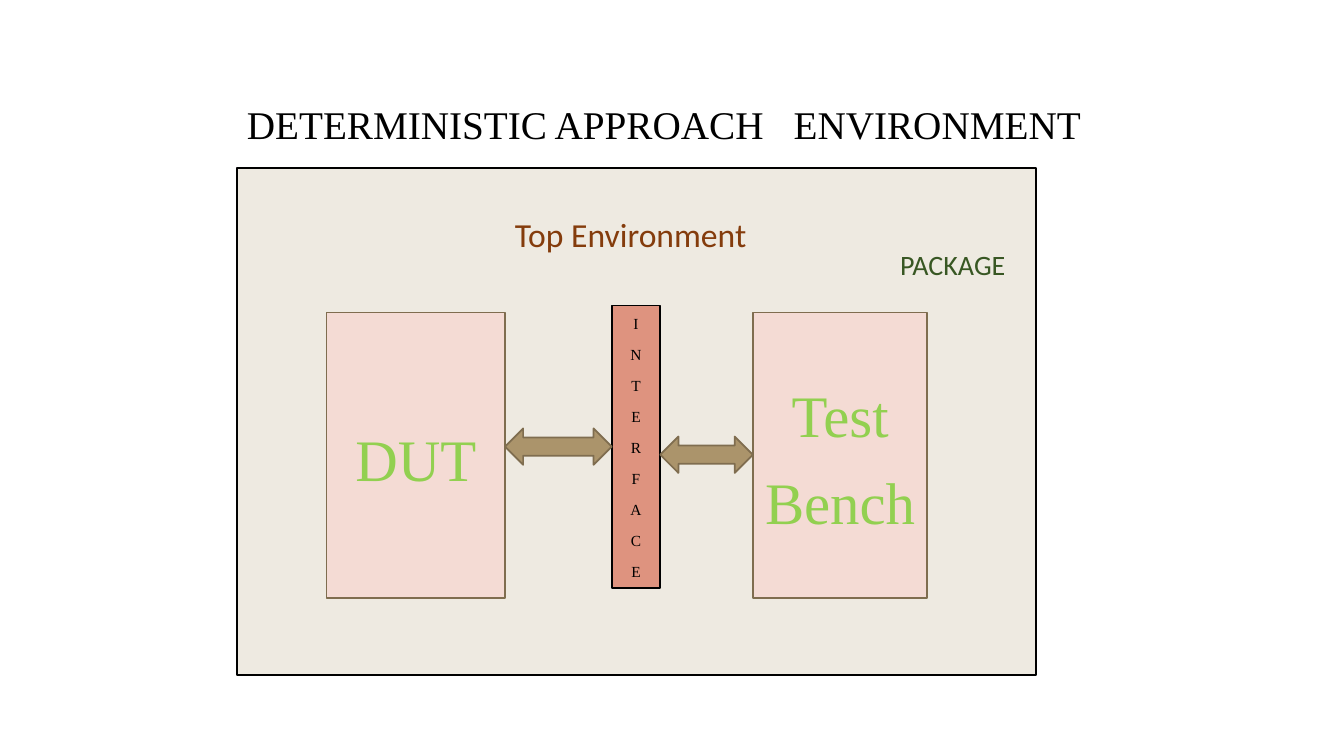
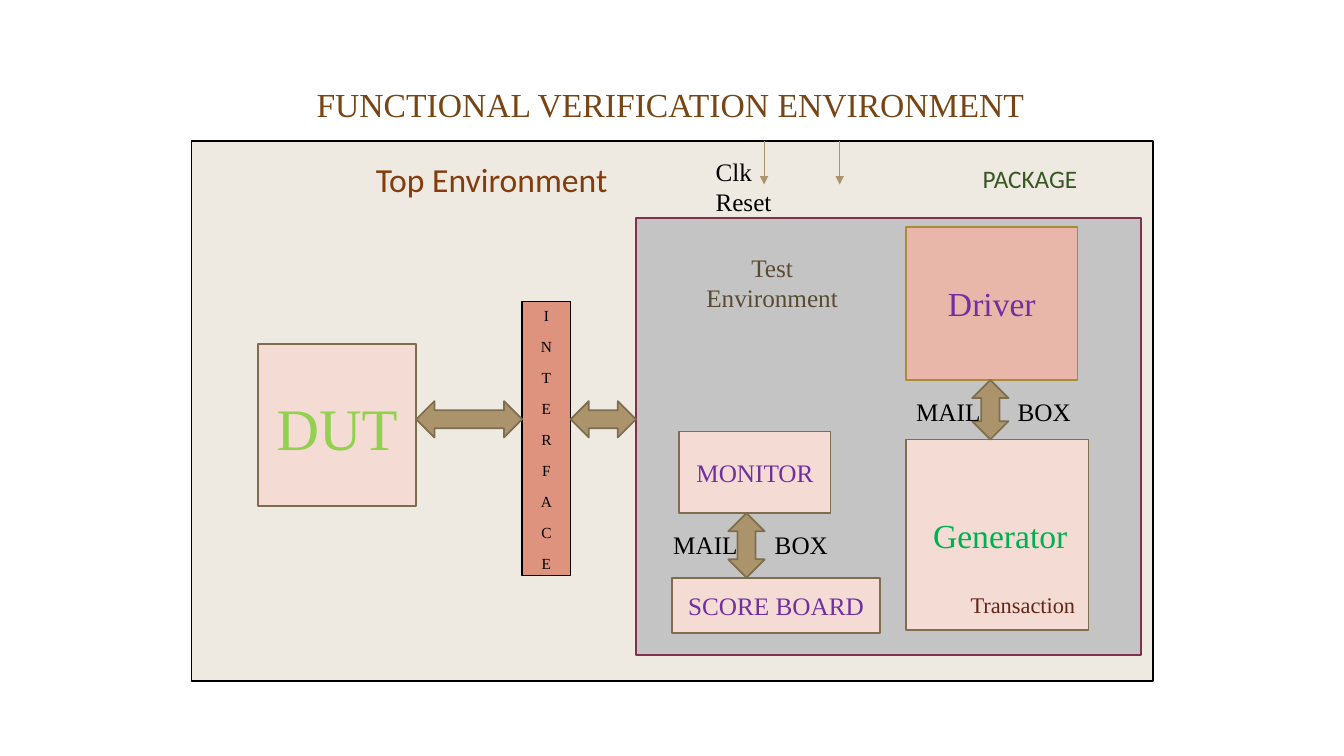
from dataclasses import dataclass, replace
from typing import Optional

from lxml.etree import SubElement
from pptx import Presentation
from pptx.dml.color import RGBColor
from pptx.enum.shapes import MSO_CONNECTOR, MSO_SHAPE
from pptx.enum.text import MSO_ANCHOR, MSO_AUTO_SIZE, PP_ALIGN
from pptx.oxml.ns import qn
from pptx.slide import Slide
from pptx.text.text import TextFrame
from pptx.util import Pt

SERIF, SANS = "Times New Roman", "Calibri"
BLACK, PURPLE, LIME, MAROON = "000000", "7030A0", "92D050", "602819"
CREAM, PINK, SALMON, ROSE, GREY = "EEEAE1", "F4DBD4", "DE937F", "E9B7AA", "C4C4C4"
BROWN, TAN = "7F6D4F", "AB946B"
ARROW_WIDTH = 26


@dataclass(frozen=True)
class Area:
    left: float
    top: float
    width: float
    height: float

    @property
    def right(self) -> float:
        return self.left + self.width

    @property
    def bottom(self) -> float:
        return self.top + self.height

    def in_points(self) -> tuple[Pt, Pt, Pt, Pt]:
        return Pt(self.left), Pt(self.top), Pt(self.width), Pt(self.height)


@dataclass(frozen=True)
class Lettering:
    size: float
    color: str
    font: str = SERIF
    align: PP_ALIGN = PP_ALIGN.CENTER
    anchor: MSO_ANCHOR = MSO_ANCHOR.MIDDLE
    spaced: bool = False
    inset: float = 7.2
    tab: Optional[float] = None


@dataclass(frozen=True)
class Surface:
    fill: str
    line: Optional[str] = None


BACKDROP = Surface(CREAM, BLACK)
BLOCK = Surface(PINK, BROWN)
ARROW = Surface(TAN, BROWN)
BIG = Lettering(42, LIME, spaced=True)
LETTERS = Lettering(11, BLACK, spaced=True)
PART = Lettering(18, PURPLE)
NOTE = Lettering(18, BLACK, align=PP_ALIGN.LEFT, anchor=MSO_ANCHOR.TOP)
HEADING = replace(NOTE, size=24, color="843C0C", font=SANS, spaced=True)


def rgb(color: str) -> RGBColor:
    return RGBColor.from_string(color)


def write(frame: TextFrame, lines: list[str], style: Lettering) -> None:
    frame.word_wrap = True
    frame.auto_size = MSO_AUTO_SIZE.NONE
    frame.vertical_anchor = style.anchor
    frame.margin_left, frame.margin_right = Pt(style.inset), Pt(7.2)
    frame.margin_top = frame.margin_bottom = Pt(3.6)
    for index, line in enumerate(lines):
        paragraph = frame.add_paragraph() if index else frame.paragraphs[0]
        paragraph.alignment = style.align
        if style.spaced:
            paragraph.line_spacing = 1.07
            paragraph.space_after = Pt(8)
        if style.tab:
            stops = SubElement(paragraph._p.get_or_add_pPr(), qn("a:tabLst"))
            SubElement(stops, qn("a:tab"), pos=str(Pt(style.tab)), algn="l")
        run = paragraph.add_run()
        run.text = line
        run.font.name = style.font
        run.font.size = Pt(style.size)
        run.font.color.rgb = rgb(style.color)


def add_surface(slide: Slide, area: Area, surface: Surface, lines: Optional[list[str]] = None,
                style: Lettering = PART, outline: MSO_SHAPE = MSO_SHAPE.RECTANGLE) -> None:
    shape = slide.shapes.add_shape(outline, *area.in_points())
    shape.shadow.inherit = False
    shape.fill.solid()
    shape.fill.fore_color.rgb = rgb(surface.fill)
    if surface.line:
        shape.line.color.rgb = rgb(surface.line)
        shape.line.width = Pt(1.25)
    else:
        shape.line.fill.background()
    if lines:
        write(shape.text_frame, lines, style)


def add_note(slide: Slide, area: Area, lines: list[str], style: Lettering = NOTE) -> None:
    write(slide.shapes.add_textbox(*area.in_points()).text_frame, lines, style)


def link_across(slide: Slide, start: Area, end: Area, middle: float) -> None:
    """Draw a two-way arrow filling the horizontal gap between two areas."""
    area = Area(start.right, middle - ARROW_WIDTH / 2, end.left - start.right, ARROW_WIDTH)
    add_surface(slide, area, ARROW, outline=MSO_SHAPE.LEFT_RIGHT_ARROW)


def link_down(slide: Slide, upper: Area, lower: Area, center: float) -> None:
    """Draw a two-way arrow filling the vertical gap between two areas."""
    area = Area(center - ARROW_WIDTH / 2, upper.bottom, ARROW_WIDTH, lower.top - upper.bottom)
    add_surface(slide, area, ARROW, outline=MSO_SHAPE.UP_DOWN_ARROW)


def add_signal(slide: Slide, x: float, top: float, bottom: float) -> None:
    signal = slide.shapes.add_connector(MSO_CONNECTOR.STRAIGHT, Pt(x), Pt(top), Pt(x), Pt(bottom))
    signal.line.color.rgb = rgb(TAN)
    signal.line.width = Pt(0.75)
    SubElement(signal.line._get_or_add_ln(), qn("a:tailEnd"), type="triangle")
    SubElement(signal._element.spPr, qn("a:effectLst"))


def start_slide(deck: Presentation, title: str, title_area: Area, style: Lettering,
                backdrop: Area) -> Slide:
    slide = deck.slides.add_slide(deck.slide_layouts[5])
    heading = slide.shapes.title
    heading.left, heading.top, heading.width, heading.height = title_area.in_points()
    write(heading.text_frame, [title], style)
    add_surface(slide, backdrop, BACKDROP)
    return slide


def add_common_parts(slide: Slide, dut: Area, interface: Area, top_label: Area,
                     package: Area, package_size: float) -> None:
    add_surface(slide, dut, BLOCK, ["DUT"], BIG)
    add_surface(slide, interface, Surface(SALMON, BLACK), list("INTERFACE"), LETTERS)
    add_surface(slide, top_label, Surface(CREAM), ["Top Environment"], HEADING)
    add_surface(slide, package, Surface(CREAM), ["PACKAGE"],
                replace(HEADING, size=package_size, color="385723"))


def build_deterministic(deck: Presentation) -> None:
    title = "\t".join(["DETERMINISTIC APPROACH", "ENVIRONMENT"])
    slide = start_slide(deck, title, Area(169.2, 67.7, 638.6, 41),
                        replace(NOTE, size=28, tab=390.5), Area(169.2, 120.2, 571, 362.2))
    dut = Area(233.3, 223.2, 127.4, 203.8)
    interface = Area(437, 218.2, 34.6, 201.6)
    bench = Area(537.8, 223.2, 124.6, 203.8)
    add_common_parts(slide, dut, interface, Area(360.7, 147.6, 187.2, 47.5),
                     Area(635.8, 171.4, 96.5, 32.4), 20)
    add_surface(slide, bench, BLOCK, ["Test", "Bench"], BIG)
    link_across(slide, dut, interface, 319)
    link_across(slide, interface, bench, 324.8)


def build_functional(deck: Presentation) -> None:
    backdrop = Area(136.8, 100.8, 686.9, 385.9)
    slide = start_slide(deck, "FUNCTIONAL VERIFICATION ENVIRONMENT", Area(218.9, 56.2, 650.9, 36),
                        replace(NOTE, size=24, color="784615"), backdrop)
    dut = Area(184.3, 245.5, 113, 115.9)
    interface = Area(373, 215.3, 34.6, 195.8)
    test_panel = Area(454.3, 155.5, 360.7, 312.5)
    add_common_parts(slide, dut, interface, Area(261.4, 108, 187.2, 47.5),
                     Area(694.8, 111.6, 96.5, 29.5), 18)
    add_surface(slide, test_panel, Surface(GREY, "803348"))
    link_across(slide, dut, interface, 299.5)
    link_across(slide, interface, test_panel, 299.5)

    generator = Area(647.3, 313.9, 130.3, 136.1)
    driver = Area(647.3, 162, 122.4, 109.4)
    monitor = Area(485.3, 308.2, 108, 58.3)
    score_board = Area(480.2, 412.6, 148.3, 39.6)
    add_surface(slide, generator, BLOCK, ["Generator"],
                replace(PART, size=24, color="00B050", align=PP_ALIGN.LEFT, inset=19.2))
    add_surface(slide, driver, Surface(ROSE, "AA8B38"), ["Driver"], replace(PART, size=24))
    add_surface(slide, monitor, BLOCK, ["MONITOR"])
    add_surface(slide, score_board, BLOCK, ["SCORE BOARD"])
    add_surface(slide, Area(491.8, 171.4, 119.5, 60.5), Surface(GREY), ["Test Environment"],
                replace(PART, color="594B32"))
    add_note(slide, Area(686.2, 419, 100, 26.6), ["Transaction"],
             replace(NOTE, size=16, color=MAROON))

    link_down(slide, driver, generator, 707.4)
    link_down(slide, monitor, score_board, 533.2)
    for left, top in ((647.3, 279.4), (473.8, 374.4)):
        add_note(slide, Area(left, top, 132.5, 28.8), ["\t".join(["MAIL", "BOX"])],
                 replace(NOTE, tab=72.5))

    for x in (545.8, 599.8):
        add_signal(slide, x, backdrop.top, backdrop.top + 31)
    add_note(slide, Area(504, 108, 102.2, 50.4), ["Clk", "Reset"])


def main() -> None:
    deck = Presentation()
    deck.slide_width, deck.slide_height = Pt(960), Pt(540)
    build_deterministic(deck)
    build_functional(deck)
    deck.save("out.pptx")


if __name__ == "__main__":
    main()
